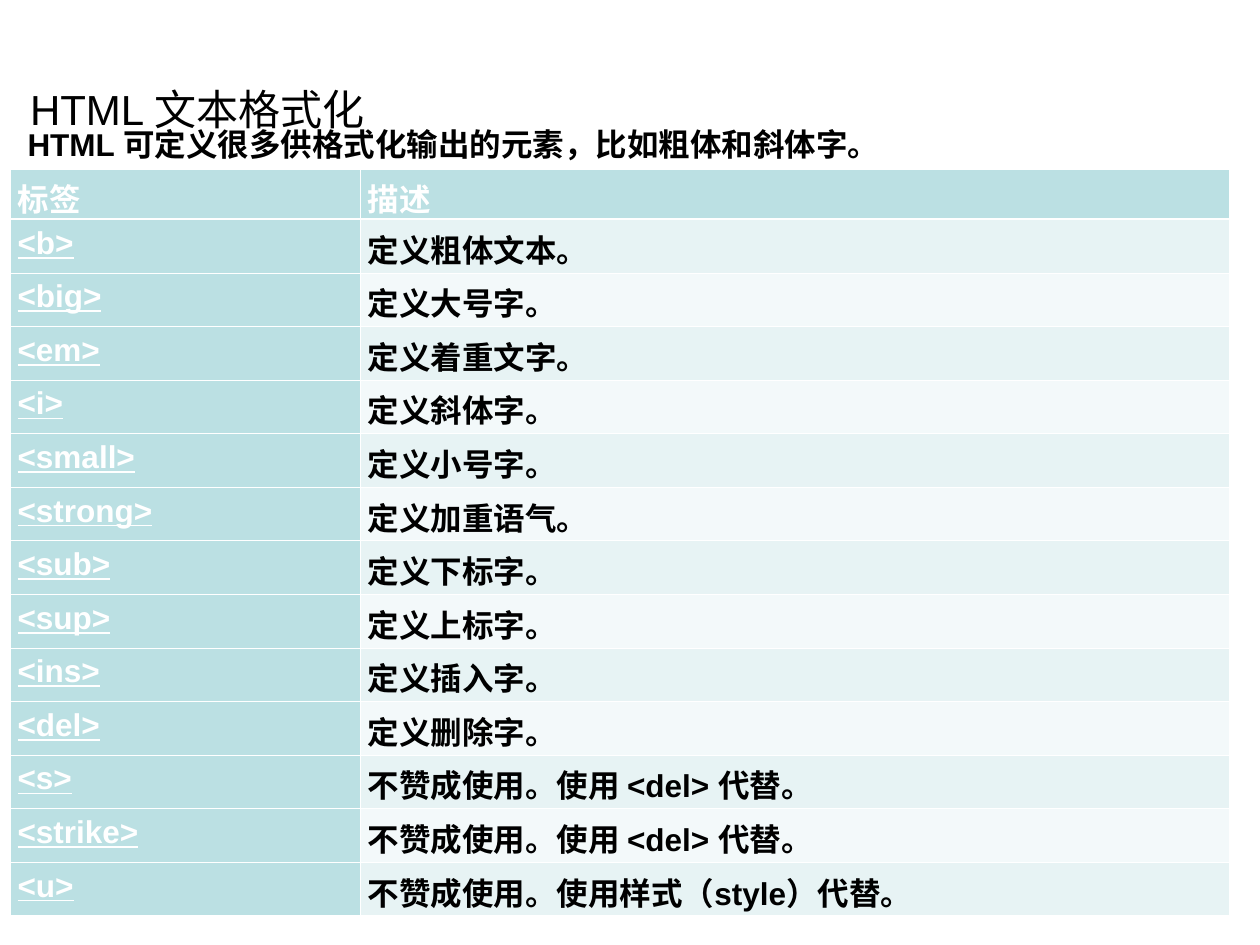
from lxml import etree
from pptx import Presentation
from pptx.dml.color import RGBColor
from pptx.enum.text import MSO_ANCHOR, MSO_AUTO_SIZE
from pptx.oxml.ns import qn
from pptx.util import Inches, Pt

BLACK = RGBColor(0x00, 0x00, 0x00)
WHITE = RGBColor(0xFF, 0xFF, 0xFF)
TEAL = RGBColor(0xBB, 0xE0, 0xE3)
BANDS = (RGBColor(0xE7, 0xF3, 0xF4), RGBColor(0xF3, 0xF9, 0xFA))
TOP, BOTTOM = MSO_ANCHOR.TOP, MSO_ANCHOR.BOTTOM
GROW = MSO_AUTO_SIZE.SHAPE_TO_FIT_TEXT
THIN, THICK = Pt(0.45), Pt(1.47)

HEADER = ("标签", "描述")
TAGS = [
    ("<b>", "定义粗体文本。"),
    ("<big>", "定义大号字。"),
    ("<em>", "定义着重文字。"),
    ("<i>", "定义斜体字。"),
    ("<small>", "定义小号字。"),
    ("<strong>", "定义加重语气。"),
    ("<sub>", "定义下标字。"),
    ("<sup>", "定义上标字。"),
    ("<ins>", "定义插入字。"),
    ("<del>", "定义删除字。"),
    ("<s>", "不赞成使用。使用 <del> 代替。"),
    ("<strike>", "不赞成使用。使用 <del> 代替。"),
    ("<u>", "不赞成使用。使用样式（style）代替。"),
]


def write(tf, text, size=18, color=BLACK, bold=True, underline=False, font="Arial"):
    r = tf.paragraphs[0].add_run()
    r.text = text
    r.font.name = font
    r.font.size = Pt(size)
    r.font.bold = bold
    r.font.underline = underline
    r.font.color.rgb = color


class Deck:
    font = "Arial"

    def __init__(self, width, height):
        self.prs = Presentation()
        self.prs.slide_width = Inches(width)
        self.prs.slide_height = Inches(height)
        self.s = self.prs.slides.add_slide(self.prs.slide_layouts[6])

    def text(self, text, x, y, w, h, **fmt):
        sp = self.s.shapes.add_textbox(Inches(x), Inches(y), Inches(w), Inches(h))
        tf = sp.text_frame
        tf.word_wrap = True
        tf.auto_size = GROW
        write(tf, text, font=self.font, **fmt)

    def border(self, cell, side, width):
        tcPr = cell._tc.get_or_add_tcPr()
        ln = etree.SubElement(tcPr, qn(f"a:ln{side}"), w=str(int(width)))
        fill = etree.SubElement(ln, qn("a:solidFill"))
        etree.SubElement(fill, qn("a:srgbClr"), val=str(WHITE))

    def cell(self, cell, text, fill, top=THIN, bottom=THIN, anchor=TOP, **fmt):
        for side, width in zip("LRTB", (THIN, THIN, top, bottom)):
            self.border(cell, side, width)
        cell.fill.solid()
        cell.fill.fore_color.rgb = fill
        cell.margin_left, cell.margin_right = Inches(0.06), Inches(0.16)
        cell.margin_top = cell.margin_bottom = Inches(0.05)
        cell.vertical_anchor = anchor
        write(cell.text_frame, text, font=self.font, **fmt)

    def table(self, header, rows, x, y, widths, height, header_height):
        tb = self.s.shapes.add_table(
            len(rows) + 1, len(widths), Inches(x), Inches(y),
            Inches(sum(widths)), Inches(height)).table
        tb.horz_banding = False
        for column, width in zip(tb.columns, widths):
            column.width = Inches(width)
        for row in tb.rows:
            row.height = Inches((height - header_height) / len(rows))
        tb.rows[0].height = Inches(header_height)
        for c, title in enumerate(header):
            self.cell(tb.cell(0, c), title, TEAL, bottom=THICK,
                      anchor=BOTTOM, color=WHITE)
        for i, (tag, description) in enumerate(rows):
            top = THIN if i else THICK
            self.cell(tb.cell(i + 1, 0), tag, TEAL, top=top,
                      color=WHITE, underline=True)
            self.cell(tb.cell(i + 1, 1), description, BANDS[i % 2], top=top)


def main():
    deck = Deck(10, 7.5)
    deck.text("HTML 文本格式化", 0.14, 0.61, 3.23, 0.5, size=24, bold=False)
    deck.text("HTML 可定义很多供格式化输出的元素，比如粗体和斜体字。",
              0.12, 0.94, 9.45, 0.4)
    deck.table(HEADER, TAGS, 0.08, 1.34, (2.78, 6.9), 5.93, 0.4)
    deck.prs.save("out.pptx")


if __name__ == "__main__":
    main()
